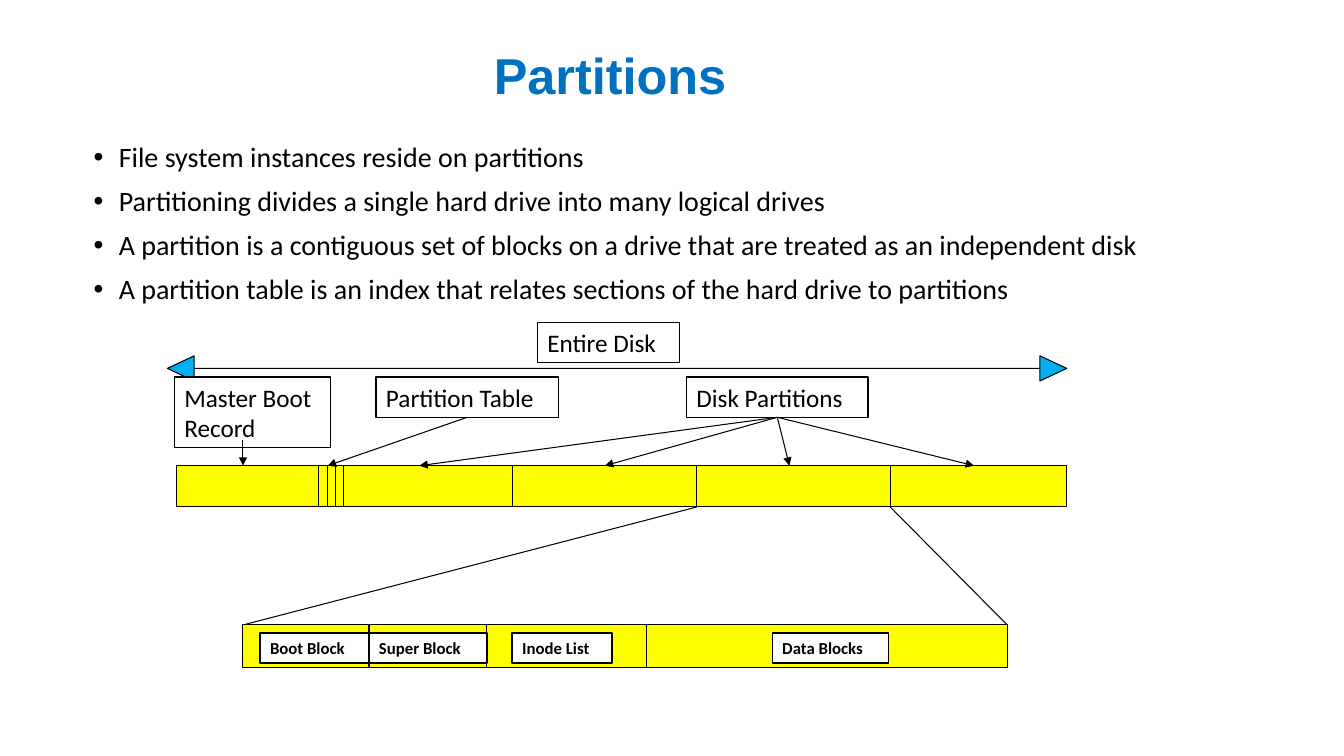
from dataclasses import dataclass

from lxml import etree
from pptx import Presentation
from pptx import util as u
from pptx.dml.color import RGBColor
from pptx.enum import shapes, text
from pptx.oxml import ns

PX = 9144  # EMU in one px, 100 px to the inch


@dataclass(frozen=True)
class Theme:
    title: RGBColor = RGBColor(0x00, 0x70, 0xC0)
    ink: RGBColor = RGBColor(0x00, 0x00, 0x00)
    paper: RGBColor = RGBColor(0xFF, 0xFF, 0xFF)
    disk: RGBColor = RGBColor(0xFF, 0xFF, 0x00)
    span: RGBColor = RGBColor(0x00, 0xB0, 0xF0)
    title_font: str = "Arial"
    body_font: str = "Calibri"
    title_size: int = 36
    body_size: int = 20
    label_size: int = 18
    block_size: int = 12
    thin: float = 0.75
    border: float = 1


THEME = Theme()

BULLETS = [
    "File system instances reside on partitions",
    "Partitioning divides a single hard drive into many logical drives",
    "A partition is a contiguous set of blocks on a drive that are treated as an independent disk",
    "A partition table is an index that relates sections of the hard drive to partitions",
]


def px(*lengths):
    return [u.Emu(length * PX) for length in lengths]


def set_font(para, name, size, color, bold=False):
    para.font.name = name
    para.font.size = u.Pt(size)
    para.font.color.rgb = color
    para.font.bold = bold


def add_text_box(page, box):
    frame = page.shapes.add_textbox(*px(*box)).text_frame
    frame.word_wrap = True
    return frame


def add_block(page, box, fill, weight, kind=shapes.MSO_SHAPE.RECTANGLE):
    block = page.shapes.add_shape(kind, *px(*box))
    block.shadow.inherit = False
    block.fill.solid()
    block.fill.fore_color.rgb = fill
    block.line.color.rgb = THEME.ink
    block.line.width = u.Pt(weight)
    return block


def add_label(page, box, words, size=THEME.label_size, bold=False):
    label = add_block(page, box, THEME.paper, THEME.border)
    frame = label.text_frame
    frame.word_wrap = True
    frame.vertical_anchor = text.MSO_ANCHOR.TOP
    frame.text = words
    for para in frame.paragraphs:
        para.alignment = text.PP_ALIGN.LEFT
        set_font(para, THEME.body_font, size, THEME.ink, bold)
    return label


def add_line(page, start, end, arrow=False):
    line = page.shapes.add_connector(shapes.MSO_CONNECTOR.STRAIGHT, *px(*start, *end))
    line.line.color.rgb = THEME.ink
    line.line.width = u.Pt(THEME.thin)
    if arrow:
        etree.SubElement(line.line._get_or_add_ln(), ns.qn("a:tailEnd"), type="triangle")
    etree.SubElement(line._element.spPr, ns.qn("a:effectLst"))
    return line


def add_bar(page, box):
    add_block(page, box, THEME.disk, THEME.thin)


def add_dividers(page, box, offsets):
    left, top, _, height = box
    for offset in offsets:
        add_line(page, (left + offset, top), (left + offset, top + height))


def add_title(page, box):
    frame = add_text_box(page, box)
    frame.vertical_anchor = text.MSO_ANCHOR.MIDDLE
    para = frame.paragraphs[0]
    para.text = "Partitions"
    para.line_spacing = 0.9
    para._p.get_or_add_pPr().set("marL", str(388 * PX))
    set_font(para, THEME.title_font, THEME.title_size, THEME.title, bold=True)


def add_bullets(page, box):
    frame = add_text_box(page, box)
    frame.text = "\n".join(BULLETS)
    for para in frame.paragraphs:
        para.line_spacing = 0.9
        para.space_before = u.Pt(10)
        set_font(para, THEME.body_font, THEME.body_size, THEME.ink)
        props = para._p.get_or_add_pPr()
        props.set("marL", str(25 * PX))
        props.set("indent", str(-25 * PX))
        bullet_font = etree.Element(ns.qn("a:buFont"), typeface="Arial")
        bullet = etree.Element(ns.qn("a:buChar"), char="•")
        props.find(ns.qn("a:defRPr")).addprevious(bullet_font)
        bullet_font.addnext(bullet)


def add_disk_span(page, box):
    left, top, _, _ = box
    span = add_block(page, box, THEME.span, THEME.thin, shapes.MSO_SHAPE.LEFT_RIGHT_ARROW)
    span.adjustments[0] = 0
    span.adjustments[1] = 1.065
    add_label(page, (left + 367, top - 33, 141, 40), "Entire Disk")


def add_disk(page, box):
    left, top, _, _ = box
    label_top = top - 88
    add_bar(page, box)
    add_dividers(page, box, (141, 150, 158, 166, 333, 516, 708))

    # Labels above the disk, with arrows to the sections they name
    pointers = [
        ("Partition Table", 198, 181, (150,)),
        ("Disk Partitions", 506, 180, (241, 425, 608, 791)),
    ]
    for words, offset, width, targets in pointers:
        label = add_label(page, (left + offset, label_top, width, 40), words)
        for target in targets:
            start = (left + offset + width // 2, label_top + 40)
            arrow = add_line(page, start, (left + target, top), arrow=True)
            arrow.begin_connect(label, 2)

    # The boot record's arrow starts inside its label
    add_label(page, (left - 2, label_top, 155, 70), "Master Boot\nRecord")
    add_line(page, (left + 66, top - 25), (left + 66, top), arrow=True)


def add_zoom(page, section, box):
    # Lines from the ends of one partition to the ends of its enlarged bar
    left, top, width, _ = box
    start, end, bottom = section
    add_line(page, (start, bottom), (left, top))
    add_line(page, (end, bottom), (left + width, top))


def add_partition(page, box):
    left, top, _, _ = box
    add_bar(page, box)
    add_dividers(page, box, (125, 242, 400))
    blocks = [
        ("Boot Block", 17, 108),
        ("Super Block", 125, 117),
        ("Inode List", 267, 99),
        ("Data Blocks", 525, 115),
    ]
    for words, offset, width in blocks:
        add_label(page, (left + offset, top + 8, width, 30), words, THEME.block_size, bold=True)


def main():
    deck = Presentation()
    deck.slide_width, deck.slide_height = px(1333, 750)
    page = deck.slides.add_slide(deck.slide_layouts[6])

    add_title(page, (92, 40, 1150, 76))
    add_bullets(page, (83, 137, 1150, 476))
    add_disk_span(page, (166, 353, 892, 25))
    add_disk(page, (175, 462, 883, 41))

    partition = (241, 620, 758, 42)
    add_zoom(page, (691, 883, 503), partition)
    add_partition(page, partition)

    deck.save("out.pptx")


if __name__ == "__main__":
    main()
